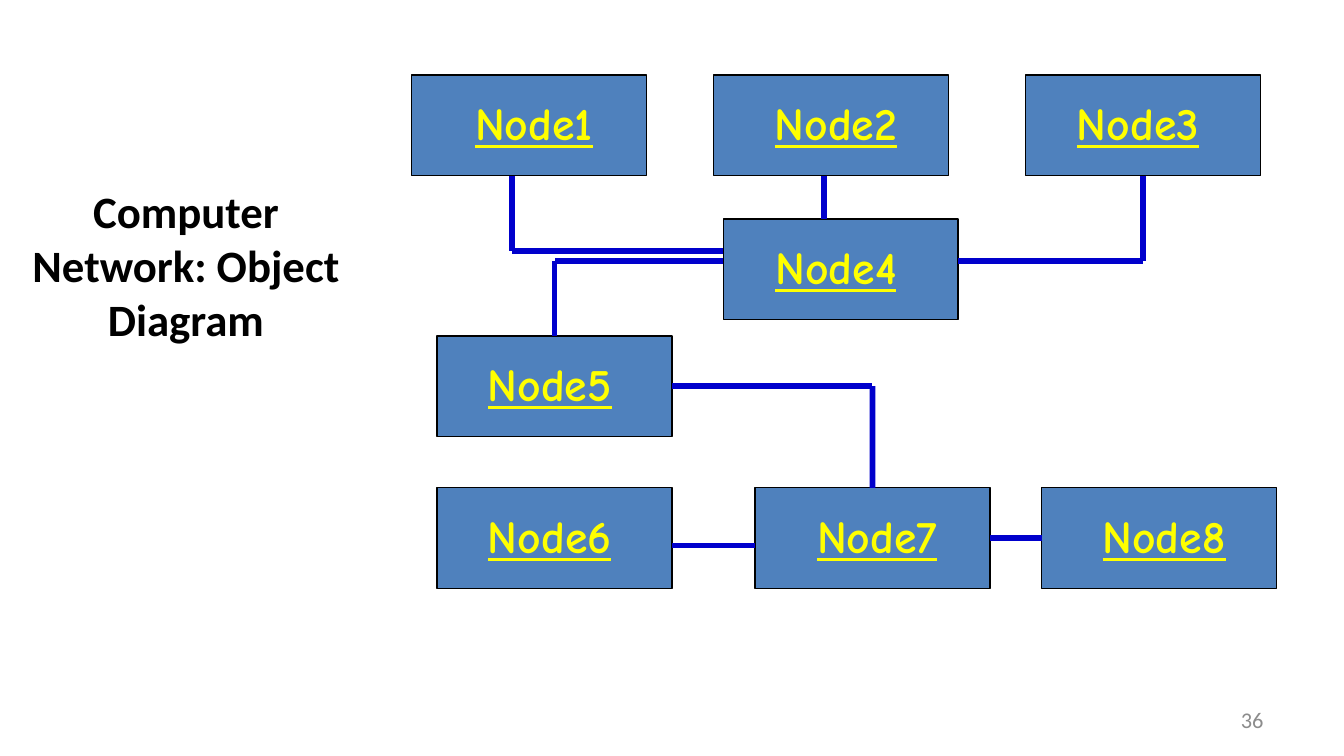
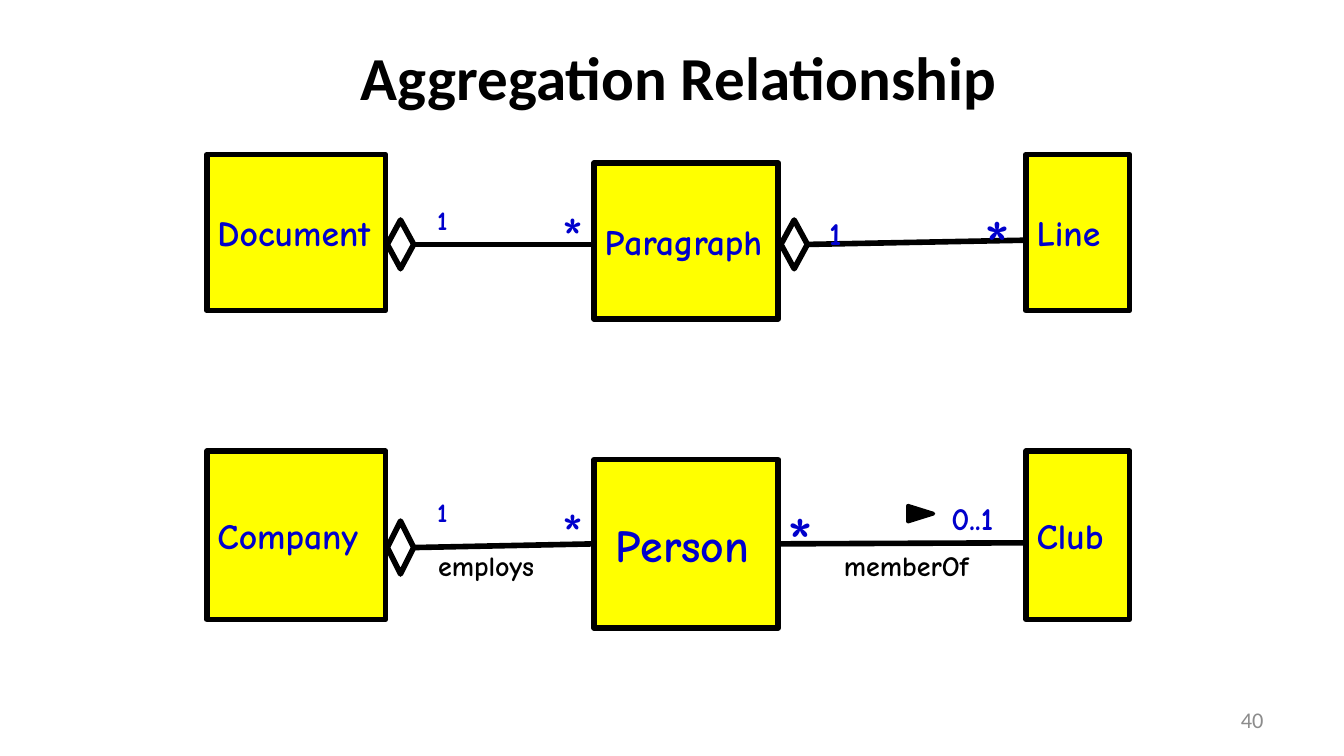
import lxml.etree
import pptx
import pptx.dml.color
import pptx.enum.shapes
import pptx.enum.text
import pptx.oxml.ns
import pptx.util

Cm = pptx.util.Cm
Pt = pptx.util.Pt
RGBColor = pptx.dml.color.RGBColor
ALIGN = pptx.enum.text.PP_ALIGN
ANCHOR = pptx.enum.text.MSO_ANCHOR
SHAPE = pptx.enum.shapes.MSO_SHAPE

BLACK = RGBColor(0x00, 0x00, 0x00)
WHITE = RGBColor(0xFF, 0xFF, 0xFF)
GREY = RGBColor(0x8C, 0x8C, 0x8C)
YELLOW = RGBColor(0xFF, 0xFF, 0x00)
DEEP_BLUE = RGBColor(0x00, 0x00, 0xCC)
NODE_BLUE = RGBColor(0x4F, 0x81, 0xBD)

HEADING_FONT = "Calibri"
DIAGRAM_FONT = "Comic Neue"
TOP, LEFT, BOTTOM, RIGHT = range(4)  # connection sites of a rectangle


# Shared helpers: boxes are (left, top, width, height) in centimetres

def lengths(values):
    return [Cm(value) for value in values]


def write_text(shape, text, size, colour, font=DIAGRAM_FONT, bold=True, underline=None,
               align=ALIGN.LEFT, anchor=ANCHOR.TOP, margins=(0, 0), wrap=False,
               line_spacing=None):
    frame = shape.text_frame
    frame.text = text
    frame.word_wrap = wrap
    frame.vertical_anchor = anchor
    frame.margin_left = frame.margin_right = Cm(margins[0])
    frame.margin_top = frame.margin_bottom = Cm(margins[1])
    paragraph = frame.paragraphs[0]
    paragraph.alignment = align
    paragraph.line_spacing = line_spacing
    run_font = paragraph.runs[0].font
    run_font.name = font
    run_font.size = Pt(size)
    run_font.bold = bold
    run_font.underline = underline
    run_font.color.rgb = colour


def add_text(slide, box, text, size, colour, **style):
    shape = slide.shapes.add_textbox(*lengths(box))
    write_text(shape, text, size, colour, **style)


def add_outline(slide, kind, box, fill, line_colour, line_width):
    shape = slide.shapes.add_shape(kind, *lengths(box))
    shape.shadow.inherit = False
    if fill is None:
        shape.fill.background()
    else:
        shape.fill.solid()
        shape.fill.fore_color.rgb = fill
    shape.line.color.rgb = line_colour
    shape.line.width = Pt(line_width)
    return shape


def add_line(slide, start, end, colour, start_site=None, end_site=None):
    """Straight line; a site is a (shape, side) pair that the end is joined to."""
    connector = slide.shapes.add_connector(
        pptx.enum.shapes.MSO_CONNECTOR.STRAIGHT, *lengths(start + end))
    connector.line.color.rgb = colour
    connector.line.width = Pt(3)
    lxml.etree.SubElement(connector._element.spPr, pptx.oxml.ns.qn("a:effectLst"))
    if start_site:
        connector.begin_connect(*start_site)
    if end_site:
        connector.end_connect(*end_site)


def add_title(slide, box, text, size, **style):
    add_text(slide, box, text, size, BLACK, font=HEADING_FONT, align=ALIGN.CENTER,
             anchor=ANCHOR.MIDDLE, wrap=True, **style)


def add_page_number(slide, number):
    add_text(slide, (18.21, 13.23, 5.92, 0.76), str(number), 12, GREY,
             font=HEADING_FONT, bold=False, align=ALIGN.RIGHT, anchor=ANCHOR.MIDDLE,
             margins=(0.25, 0.13), wrap=True)


# Object diagram

NODE_WIDTH, NODE_HEIGHT = 4.44, 1.9

# name: left, top, indent of the label
NODES = {
    "Node1": (7.78, 1.42, 0.33),
    "Node2": (13.49, 1.42, 0.33),
    "Node3": (19.38, 1.42, 0.15),
    "Node4": (13.67, 4.14, 0.15),
    "Node5": (8.26, 6.35, 0.15),
    "Node6": (8.26, 9.22, 0.15),
    "Node7": (14.27, 9.22, 0.33),
    "Node8": (19.69, 9.22, 0.33),
}

# start, end, joined node and side at start, the same at end
WIRES = [
    ((13.67, 4.93), (10.48, 4.93), None, None),
    ((10.48, 4.93), (10.48, 6.35), None, ("Node5", TOP)),
    ((9.68, 3.32), (9.68, 4.75), None, None),
    ((9.68, 4.75), (13.67, 4.75), None, None),
    ((15.57, 3.32), (15.57, 4.14), None, None),
    ((21.6, 3.32), (21.6, 4.93), ("Node3", BOTTOM), None),
    ((21.6, 4.93), (18.11, 4.93), None, None),
    ((12.7, 7.3), (16.49, 7.3), ("Node5", RIGHT), None),
    ((16.49, 7.3), (16.49, 9.22), None, ("Node7", TOP)),
    ((12.7, 10.31), (14.27, 10.31), None, None),
    ((18.71, 10.17), (19.69, 10.17), ("Node7", RIGHT), ("Node8", LEFT)),
]


def draw_network(slide):
    boxes = {}
    for name, (left, top, _) in NODES.items():
        boxes[name] = add_outline(slide, SHAPE.RECTANGLE,
                                  (left, top, NODE_WIDTH, NODE_HEIGHT),
                                  NODE_BLUE, BLACK, 0.75)
    for start, end, *joins in WIRES:
        sites = [join and (boxes[join[0]], join[1]) for join in joins]
        add_line(slide, start, end, DEEP_BLUE, *sites)
    for name, (left, top, indent) in NODES.items():
        add_text(slide, (left + indent, top + 0.48, 3.96, 1.04), name, 24.5, YELLOW,
                 underline=True, align=ALIGN.CENTER, margins=(0.18, 0.1), wrap=True,
                 line_spacing=0.8)


def network_slide(slide):
    add_title(slide, (0.2, 3.3, 6.63, 3.4), "Computer Network: Object Diagram", 24,
              margins=(0.25, 0.13))
    draw_network(slide)
    add_page_number(slide, 36)


# Aggregation diagram

CLASS_COLUMNS = [(3.91, 3.38), (11.23, 3.48), (19.39, 1.96)]  # left, width
CLASS_DROP = 0.16  # the middle class sits a little lower
DIAMOND_WIDTH = 0.5
WHOLE_DIAMOND, PART_DIAMOND = 7.32, 14.76  # left edges


def draw_classes(slide, top, height, names, sizes=(19.1, 19.1, 19.1), indents=(0.2, 0.2, 0.2)):
    shapes = []
    for index, (left, width) in enumerate(CLASS_COLUMNS):
        drop = CLASS_DROP if index == 1 else 0
        shape = add_outline(slide, SHAPE.RECTANGLE, (left, top + drop, width, height),
                            YELLOW, BLACK, 3)
        write_text(shape, names[index], sizes[index], DEEP_BLUE, anchor=ANCHOR.MIDDLE,
                   margins=(indents[index], 0.1))
        shapes.append(shape)
    return shapes


def draw_diamond(slide, left, middle, height):
    return add_outline(slide, SHAPE.FLOWCHART_DECISION,
                       (left, middle - height / 2, DIAMOND_WIDTH, height), None, BLACK, 3)


def draw_multiplicities(slide, top, marks):
    for text, left, offset, width, height, size in marks:
        add_text(slide, (left, top + offset, width, height), text, size, DEEP_BLUE,
                 bold=text != "*")


def draw_document_row(slide, top, height):
    draw_classes(slide, top, height, ("Document", "Paragraph", "Line"))
    middle = top + 1.7
    columns = [left for left, _ in CLASS_COLUMNS]
    for left, end in ((WHOLE_DIAMOND, (columns[1], middle)),
                      (PART_DIAMOND, (columns[2], middle - 0.08))):
        diamond = draw_diamond(slide, left, middle, 0.92)
        add_line(slide, (left + DIAMOND_WIDTH, middle), end, BLACK, (diamond, RIGHT))
    draw_multiplicities(slide, top, [
        ("1", 8.26, 0.94, 0.3, 0.61, 14.3),
        ("*", 10.62, 0.88, 0.58, 1.33, 31.3),
        ("1", 15.67, 1.12, 0.38, 0.73, 17),
        ("*", 18.59, 0.86, 0.71, 1.63, 38.1),
    ])


def draw_company_row(slide, top, height):
    # Relationship names
    for text, left, width in (("employs", 8.1, 2.36), ("memberOf", 15.77, 3.07)):
        label = add_outline(slide, SHAPE.RECTANGLE, (left, top + 1.73, width, 0.84),
                            None, WHITE, 2.25)
        write_text(label, text, 15, BLACK, margins=(0.18, 0.1))

    # Classes and their lines
    _, person, _ = draw_classes(slide, top, height, ("Company", "Person", "Club"),
                                sizes=(19.1, 24.5, 19.1), indents=(0.2, 0.4, 0.2))
    middle = top + 1.82
    diamond = draw_diamond(slide, WHOLE_DIAMOND, middle, 1)
    person_left, person_width = CLASS_COLUMNS[1]
    add_line(slide, (WHOLE_DIAMOND + DIAMOND_WIDTH, middle), (person_left, middle), BLACK,
             (diamond, RIGHT), (person, LEFT))
    add_line(slide, (person_left + person_width, middle),
             (CLASS_COLUMNS[2][0], middle - 0.09), BLACK, (person, RIGHT))
    draw_multiplicities(slide, top, [
        ("1", 8.26, 0.84, 0.3, 0.61, 14.3),
        ("*", 10.62, 0.86, 0.58, 1.33, 31.3),
        ("0..1", 17.98, 0.89, 1.27, 0.73, 17),
        ("*", 14.86, 0.87, 0.71, 1.63, 38.1),
    ])

    # Reading direction
    pointer = add_outline(slide, SHAPE.ISOSCELES_TRIANGLE, (17.25, top + 0.94, 0.3, 0.48),
                          BLACK, BLACK, 2)
    pointer.rotation = 90


def aggregation_slide(slide):
    add_title(slide, (3.76, 0, 18.14, 3.02), "Aggregation Relationship", 32.7,
              margins=(0.03, 0.1), line_spacing=0.94)
    draw_document_row(slide, 2.92, 2.95)
    draw_company_row(slide, 8.53, 3.18)
    add_page_number(slide, 40)


def main():
    presentation = pptx.Presentation()
    presentation.slide_width = Cm(25.4)
    presentation.slide_height = Cm(14.29)
    blank_layout = presentation.slide_layouts[6]
    for build in (network_slide, aggregation_slide):
        build(presentation.slides.add_slide(blank_layout))
    presentation.save("out.pptx")


if __name__ == "__main__":
    main()
